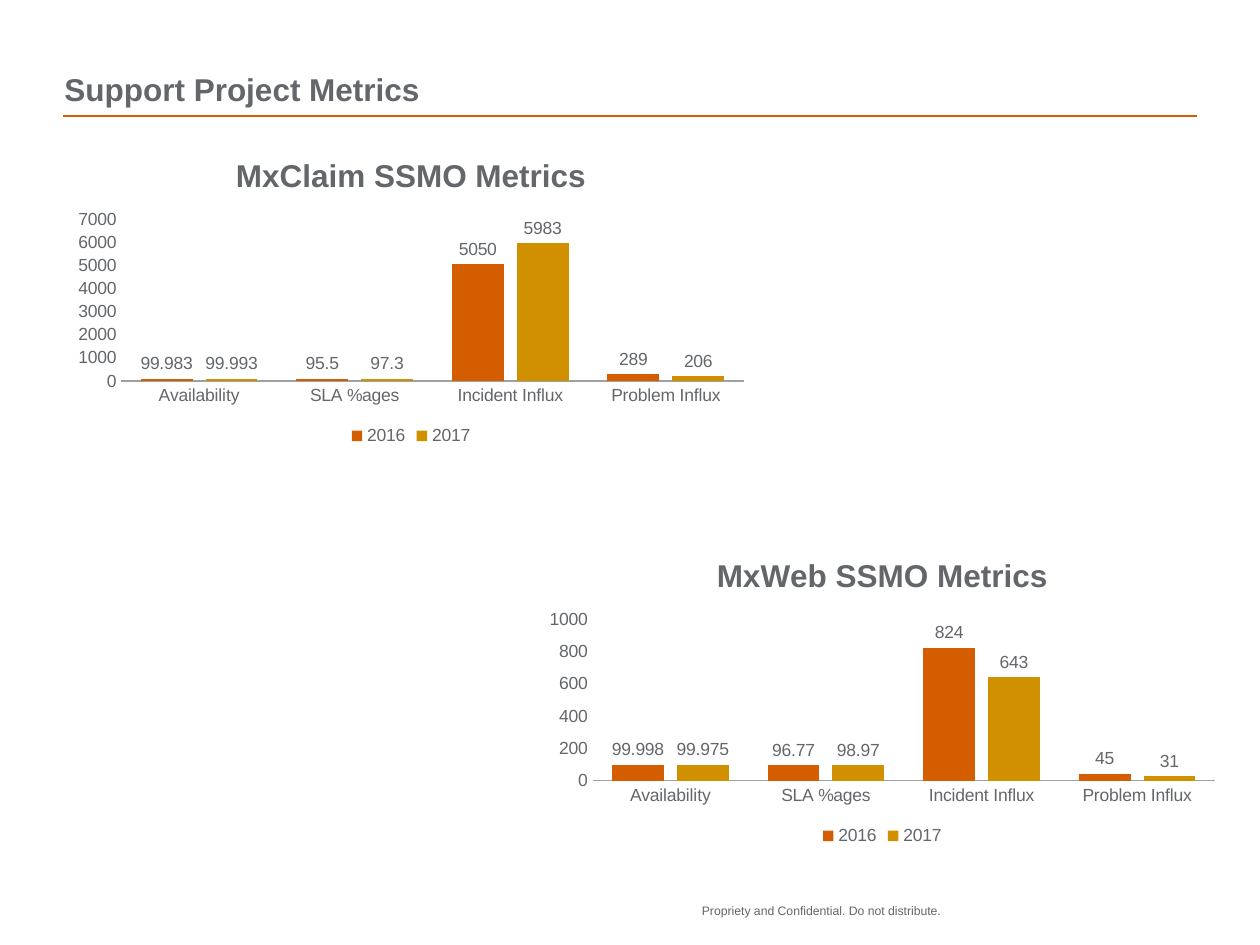
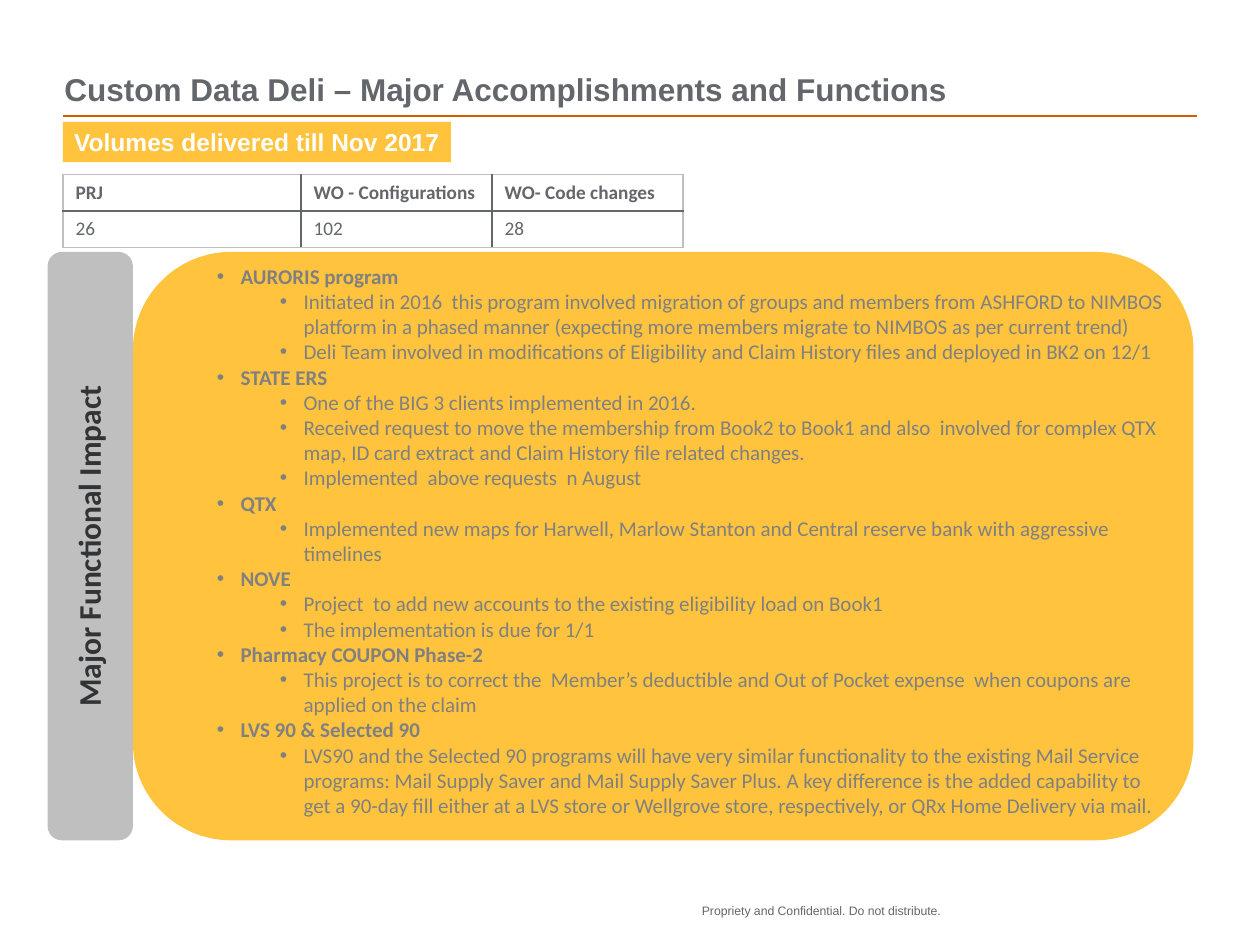
from dataclasses import dataclass

from lxml.etree import SubElement
from pptx import Presentation
from pptx.chart.data import CategoryChartData
from pptx.dml.color import RGBColor
from pptx.enum.chart import XL_CHART_TYPE as ChartType
from pptx.enum.chart import XL_LABEL_POSITION as LabelPosition
from pptx.enum.chart import XL_LEGEND_POSITION as LegendPosition
from pptx.enum.chart import XL_TICK_MARK as TickMark
from pptx.enum.shapes import MSO_CONNECTOR as Connector
from pptx.enum.shapes import MSO_SHAPE as Shape
from pptx.enum.text import MSO_ANCHOR as Anchor
from pptx.enum.text import MSO_AUTO_SIZE as AutoSize
from pptx.enum.text import PP_ALIGN as Align
from pptx.oxml.ns import qn
from pptx.util import Cm, Pt


@dataclass(frozen=True)
class Theme:
    heading_font: str = "Arial"
    body_font: str = "Calibri"
    text: str = "63666A"
    orange: str = "D45D00"
    ochre: str = "D19000"
    yellow: str = "FFC33E"
    silver: str = "BFBFBF"
    axis: str = "A0A0A0"
    list_text: str = "808080"
    dark: str = "323335"
    white: str = "FFFFFF"
    title_size: int = 18
    banner_size: int = 14
    list_size: int = 12
    table_size: int = 11
    chart_size: int = 10
    footer_size: int = 7


@dataclass(frozen=True)
class Box:
    """A region in centimetres."""
    left: float
    top: float
    width: float
    height: float

    def lengths(self):
        return [Cm(value) for value in (self.left, self.top, self.width, self.height)]

    def inset(self, left, top, right, bottom):
        return Box(self.left + left, self.top + top,
                   self.width - left - right, self.height - top - bottom)


THEME = Theme()
TITLE_BOX = Box(1.3, 0.48, 21.9, 1.7)
RULE_BOX = Box(1.27, 2.34, 22.86, 0)
FOOTER_BOX = Box(14.15, 18.21, 5.28, 0.64)
TITLE_ONLY, TITLE_AND_BODY = 5, 1

CATEGORIES = ["Availability", "SLA %ages", "Incident Influx", "Problem Influx"]
CHARTS = [
    ("MxClaim SSMO Metrics", Box(1.3, 2.74, 13.97, 6.35),
     {"2016": [99.983, 95.5, 5050, 289], "2017": [99.993, 97.3, 5983, 206]}),
    ("MxWeb SSMO Metrics", Box(10.8, 10.8, 13.97, 6.35),
     {"2016": [99.998, 96.77, 824, 45], "2017": [99.975, 98.97, 643, 31]}),
]

VOLUMES = [["PRJ", "WO - Configurations", "WO- Code changes"], ["26", "102", "28"]]

IMPACTS = [
    ("AURORIS program", [
        "Initiated in 2016  this program involved migration of groups and members from "
        "ASHFORD to NIMBOS platform in a phased manner (expecting more members migrate "
        "to NIMBOS as per current trend)",
        "Deli Team involved in modifications of Eligibility and Claim History files and "
        "deployed in BK2 on 12/1",
    ]),
    ("STATE ERS", [
        "One of the BIG 3 clients implemented in 2016.",
        "Received request to move the membership from Book2 to Book1 and also  involved "
        "for complex QTX map, ID card extract and Claim History file related changes.",
        "Implemented  above requests  n August",
    ]),
    ("QTX", [
        "Implemented new maps for Harwell, Marlow Stanton and Central reserve bank with "
        "aggressive timelines",
    ]),
    ("NOVE", [
        "Project  to add new accounts to the existing eligibility load on Book1",
        "The implementation is due for 1/1",
    ]),
    ("Pharmacy COUPON Phase-2", [
        "This project is to correct the  Member’s deductible and Out of Pocket expense  "
        "when coupons are applied on the claim",
    ]),
    ("LVS 90 & Selected 90", [
        "LVS90 and the Selected 90 programs will have very similar functionality to the "
        "existing Mail Service programs: Mail Supply Saver and Mail Supply Saver Plus. A "
        "key difference is the added capability to get a 90-day fill either at a LVS store "
        "or Wellgrove store, respectively, or QRx Home Delivery via mail.",
    ]),
]


def color(value):
    return RGBColor.from_string(value)


def style_font(font, size, tint=THEME.text, bold=False, name=THEME.heading_font):
    font.name, font.size, font.bold = name, Pt(size), bold
    font.color.rgb = color(tint)


def add_run(paragraph, text, *style, **options):
    run = paragraph.add_run()
    run.text = text
    style_font(run.font, *style, **options)


def prepare_frame(shape, anchor=Anchor.TOP, margin=0):
    frame = shape.text_frame
    frame.word_wrap = True
    frame.auto_size = AutoSize.NONE
    frame.vertical_anchor = anchor
    frame.margin_left = frame.margin_right = Cm(margin)
    frame.margin_top = frame.margin_bottom = Cm(margin)
    return frame


def place(shape, box):
    shape.left, shape.top, shape.width, shape.height = box.lengths()


def add_panel(slide, preset, box, fill):
    panel = slide.shapes.add_shape(preset, *box.lengths())
    panel.shadow.inherit = False
    panel.fill.solid()
    panel.fill.fore_color.rgb = color(fill)
    panel.line.fill.background()
    return panel


def add_framed_slide(presentation, layout, title):
    """Add a slide with the shared title, rule and footer."""
    slide = presentation.slides.add_slide(presentation.slide_layouts[layout])
    place(slide.shapes.title, TITLE_BOX)
    paragraph = prepare_frame(slide.shapes.title, Anchor.BOTTOM).paragraphs[0]
    paragraph.alignment = Align.LEFT
    add_run(paragraph, title, THEME.title_size, bold=True)

    left, top, width, _ = RULE_BOX.lengths()
    rule = slide.shapes.add_connector(Connector.STRAIGHT, left, top, left + width, top)
    rule.line.color.rgb = color(THEME.orange)
    rule.line.width = Pt(1)
    SubElement(rule.element.spPr, qn("a:effectLst"))

    footer = slide.shapes.add_textbox(*FOOTER_BOX.lengths())
    add_run(prepare_frame(footer).paragraphs[0],
            "Propriety and Confidential. Do not distribute.", THEME.footer_size)
    return slide


def add_metrics_chart(slide, title, box, series_values):
    data = CategoryChartData()
    data.categories = CATEGORIES
    for year, values in series_values.items():
        data.add_series(year, values)
    chart = slide.shapes.add_chart(ChartType.COLUMN_CLUSTERED, *box.lengths(), data).chart
    style_font(chart.font, THEME.chart_size)
    chart.has_title = True
    add_run(chart.chart_title.text_frame.paragraphs[0], title, THEME.title_size, bold=True)
    chart.has_legend = True
    chart.legend.position = LegendPosition.BOTTOM
    chart.legend.include_in_layout = False

    for axis in (chart.category_axis, chart.value_axis):
        axis.has_major_gridlines = False
        axis.major_tick_mark = axis.minor_tick_mark = TickMark.NONE
    chart.category_axis.format.line.color.rgb = color(THEME.axis)
    chart.value_axis.format.line.fill.background()

    plot = chart.plots[0]
    plot.vary_by_categories = False
    plot.gap_width, plot.overlap = 75, -25
    for series, tint in zip(plot.series, (THEME.orange, THEME.ochre)):
        series.format.fill.solid()
        series.format.fill.fore_color.rgb = color(tint)
        series.data_labels.show_value = True
        series.data_labels.position = LabelPosition.OUTSIDE_END
        style_font(series.data_labels.font, THEME.chart_size)


def add_volumes_banner(slide, box):
    banner = add_panel(slide, Shape.RECTANGLE, box, THEME.yellow)
    paragraph = prepare_frame(banner, Anchor.MIDDLE, 0.13).paragraphs[0]
    paragraph.alignment = Align.CENTER
    add_run(paragraph, "Volumes delivered till Nov 2017", THEME.banner_size, THEME.white, bold=True)


def set_borders(cell, tints):
    properties = cell._tc.get_or_add_tcPr()
    for position, (side, tint) in enumerate(tints.items()):
        line = properties.makeelement(qn(f"a:{side}"), {"w": str(Pt(1))})
        fill = SubElement(line, qn("a:solidFill"))
        SubElement(fill, qn("a:srgbClr"), val=tint)
        properties.insert(position, line)


def add_volumes_table(slide, box):
    rows, columns = len(VOLUMES), len(VOLUMES[0])
    table = slide.shapes.add_table(rows, columns, *box.lengths()).table
    for column, share in zip(table.columns, (0.384, 0.308, 0.308)):
        column.width = Cm(box.width * share)
    for row_index, texts in enumerate(VOLUMES):
        table.rows[row_index].height = Cm(box.height / rows)
        for column_index, text in enumerate(texts):
            cell = table.cell(row_index, column_index)
            cell.fill.background()
            cell.vertical_anchor = Anchor.MIDDLE
            add_run(cell.text_frame.paragraphs[0], text, THEME.table_size,
                    bold=row_index == 0, name=THEME.body_font)
            outer = {"lnL": column_index == 0, "lnR": column_index == columns - 1,
                     "lnT": row_index == 0, "lnB": row_index == rows - 1}
            set_borders(cell, {side: THEME.silver if is_outer else THEME.text
                               for side, is_outer in outer.items()})


def add_impact_label(slide, box):
    label = add_panel(slide, Shape.FLOWCHART_ALTERNATE_PROCESS, box, THEME.silver)
    frame = prepare_frame(label, Anchor.MIDDLE)
    label.element.txBody.bodyPr.set("vert", "vert270")
    paragraph = frame.paragraphs[0]
    paragraph.alignment = Align.CENTER
    paragraph.line_spacing = 0.95
    add_run(paragraph, "Major Functional Impact", THEME.title_size, THEME.dark,
            bold=True, name=THEME.body_font)


def add_bullet(paragraph, text, level):
    paragraph.level = level
    properties = paragraph._p.get_or_add_pPr()
    properties.set("marL", str(Cm(1.6 + 1.27 * level)))
    properties.set("indent", str(-Cm(0.48)))
    SubElement(properties, qn("a:buFont"), typeface=THEME.heading_font)
    SubElement(properties, qn("a:buChar"), char="•")
    paragraph.alignment = Align.LEFT
    paragraph.space_before = paragraph.space_after = Pt(0)
    paragraph.line_spacing = Pt(14.4)
    add_run(paragraph, text, THEME.list_size, THEME.list_text,
            bold=level == 0, name=THEME.body_font)


def add_impact_list(slide, box):
    panel = add_panel(slide, Shape.FLOWCHART_ALTERNATE_PROCESS, box, THEME.yellow)
    body = slide.placeholders[1]
    panel.element.addnext(body.element)
    place(body, box.inset(0.57, 0.23, 0.43, 0.3))
    frame = prepare_frame(body)
    entries = [entry for heading, details in IMPACTS
               for entry in [(heading, 0), *((detail, 1) for detail in details)]]
    for index, (text, level) in enumerate(entries):
        paragraph = frame.add_paragraph() if index else frame.paragraphs[0]
        add_bullet(paragraph, text, level)


def build_metrics_slide(presentation):
    slide = add_framed_slide(presentation, TITLE_ONLY, "Support Project Metrics")
    for title, box, series_values in CHARTS:
        add_metrics_chart(slide, title, box, series_values)


def build_accomplishments_slide(presentation):
    slide = add_framed_slide(presentation, TITLE_AND_BODY,
                             "Custom Data Deli – Major Accomplishments and Functions")
    add_volumes_banner(slide, Box(1.27, 2.46, 7.82, 0.81))
    add_volumes_table(slide, Box(1.27, 3.52, 12.5, 1.45))
    add_impact_label(slide, Box(0.96, 5.08, 1.72, 11.86))
    add_impact_list(slide, Box(2.68, 5.08, 21.38, 11.86))


def main():
    presentation = Presentation()
    presentation.slide_width, presentation.slide_height = Cm(25.4), Cm(19.05)
    build_metrics_slide(presentation)
    build_accomplishments_slide(presentation)
    presentation.save("out.pptx")


if __name__ == "__main__":
    main()
